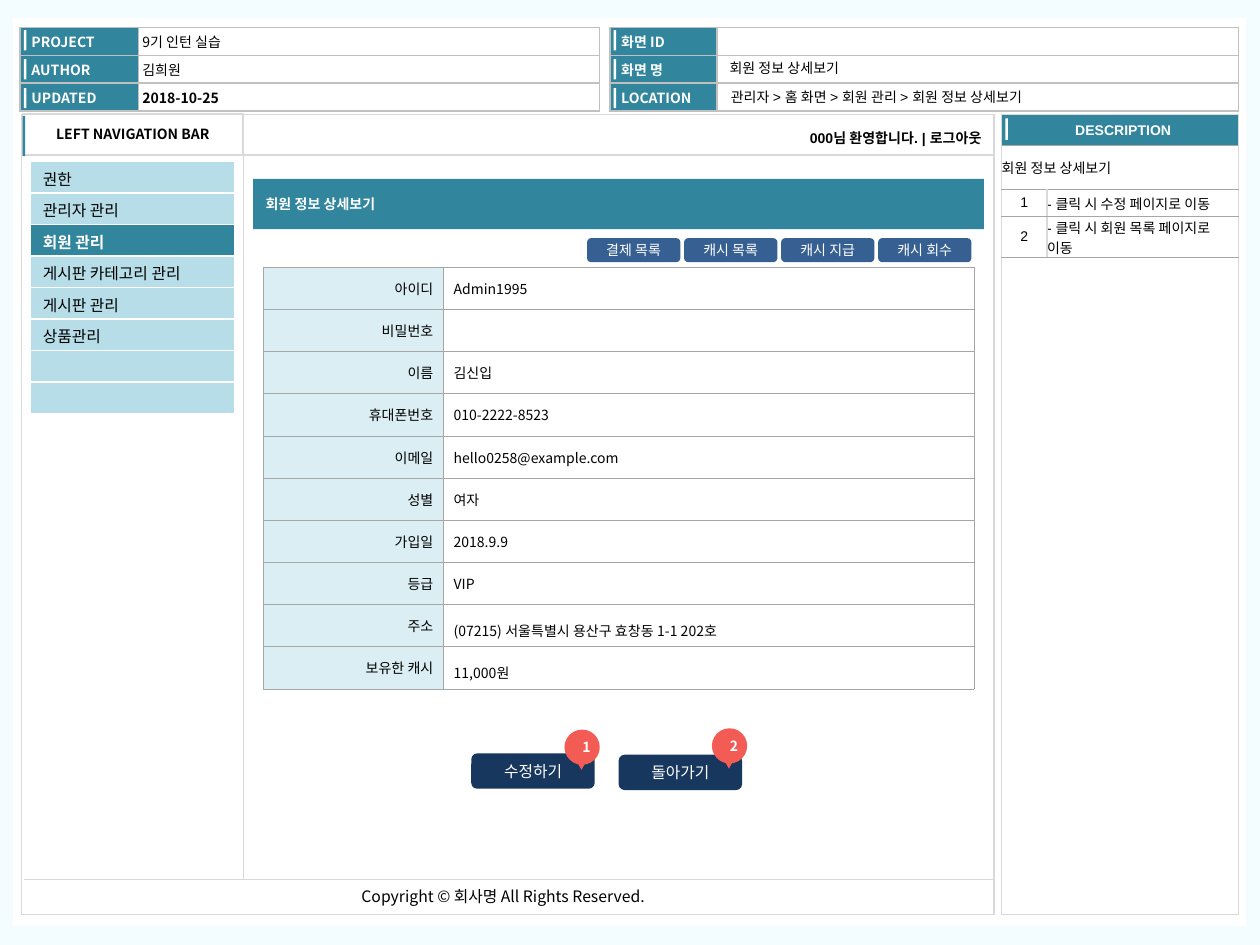
"""Build the member detail screen of an admin site's storyboard."""
from lxml import etree
from pptx import Presentation
from pptx import util as u
from pptx.dml.color import RGBColor
from pptx.enum import shapes, text
from pptx.oxml.ns import qn

KOREAN, LATIN = "Noto Sans CJK KR", "Arial"
WHITE, BLACK = RGBColor(255, 255, 255), RGBColor(0, 0, 0)
PAGE, TEAL = RGBColor(0xF3, 0xFC, 0xFF), RGBColor(0x31, 0x85, 0x9C)
SKY, PALE = RGBColor(0xB7, 0xDE, 0xE8), RGBColor(0xDB, 0xEE, 0xF4)
NAVY, BLUE = RGBColor(0x17, 0x37, 0x5E), RGBColor(0x37, 0x60, 0x92)
CORAL = RGBColor(0xF2, 0x5C, 0x54)
SILVER, LIGHT, GREY = (RGBColor(v, v, v) for v in (0xC0, 0xD9, 0xA6))

LEFT, CENTER, RIGHT = text.PP_ALIGN.LEFT, text.PP_ALIGN.CENTER, text.PP_ALIGN.RIGHT
MIDDLE = text.MSO_ANCHOR.MIDDLE
RECT, ROUND = shapes.MSO_SHAPE.RECTANGLE, shapes.MSO_SHAPE.ROUNDED_RECTANGLE
NONE, TIGHT, NORMAL = (0, 0, 0, 0), (0.03, 0, 0.03, 0), (0.08, 0.04, 0.08, 0.04)

PROJECT = [("PROJECT", "9기 인턴 실습"), ("AUTHOR", "김희원"), ("UPDATED", "2018-10-25")]
SCREEN = [("화면 ID", ""), ("화면 명", ""), ("LOCATION", "")]
SCREEN_VALUES = [("회원 정보 상세보기", 5.71, 0.43), ("관리자 > 홈 화면 > 회원 관리 > 회원 정보 상세보기", 5.72, 0.66)]
MENU = ["권한", "관리자 관리", "회원 관리", "게시판 카테고리 관리", "게시판 관리", "상품관리", "", ""]
CURRENT_MENU = "회원 관리"
MEMBER = [
    ("아이디", "Admin1995"), ("비밀번호", ""), ("이름", "김신입"),
    ("휴대폰번호", "010-2222-8523"), ("이메일", "hello0258@example.com"),
    ("성별", "여자"), ("가입일", "2018.9.9"), ("등급", "VIP"),
    ("주소", "(07215) 서울특별시 용산구 효창동 1-1 202호"), ("보유한 캐시", "11,000원"),
]
SPACED = ("주소", "보유한 캐시")
NOTES = [("회원 정보 상세보기", ""), ("1", "- 클릭 시 수정 페이지로 이동"),
         ("2", "- 클릭 시 회원 목록 페이지로 이동")]
LIST_BUTTONS = ["결제 목록", "캐시 목록", "캐시 지급", "캐시 회수"]
ACTIONS = [("수정하기", "1", 3.74, 5.98, 5.79), ("돌아가기", "2", 4.91, 5.99, 5.78)]
RULES = [(0.19, 6.98, 7.89, 6.98, 1), (1.93, 0.91, 1.93, 6.98, 0.75), (1.93, 1.23, 7.89, 1.23, 1)]


def write(frame, words, size=8, font=KOREAN, color=BLACK, bold=False, align=LEFT, spacing=None):
    paragraph = frame.paragraphs[0]
    paragraph.alignment, paragraph.line_spacing = align, spacing
    if words:
        paragraph.add_run().text = words
    else:
        paragraph._p.get_or_add_endParaRPr().set("sz", str(size * 100))
    paragraph.font.size, paragraph.font.name = u.Pt(size), font
    paragraph.font.bold, paragraph.font.color.rgb = bold, color


def set_insets(target, insets):
    (target.margin_left, target.margin_top,
     target.margin_right, target.margin_bottom) = map(u.Inches, insets)


def add_box(slide, box, fill=None, line=None, words="", kind=RECT, insets=NONE, **style):
    shape = slide.shapes.add_shape(kind, *map(u.Inches, box))
    shape.shadow.inherit = False
    if fill is None:
        shape.fill.background()
    else:
        shape.fill.solid()
        shape.fill.fore_color.rgb = fill
    if line is None:
        shape.line.fill.background()
    else:
        shape.line.color.rgb, shape.line.width = line, u.Pt(0.75)
    if words:
        frame = shape.text_frame
        set_insets(frame, insets)
        frame.vertical_anchor = MIDDLE
        write(frame, words, **style)
    return shape


def add_label(slide, box, words, insets=NORMAL, wrap=True, **style):
    frame = slide.shapes.add_textbox(*map(u.Inches, box)).text_frame
    frame.word_wrap = wrap
    set_insets(frame, insets)
    write(frame, words, **style)


def add_rule(slide, x1, y1, x2, y2, width):
    rule = slide.shapes.add_connector(shapes.MSO_CONNECTOR.STRAIGHT, *map(u.Inches, (x1, y1, x2, y2)))
    rule.line.color.rgb, rule.line.width = LIGHT, u.Pt(width)
    etree.SubElement(rule._element.spPr, qn("a:effectLst"))


def add_grid(slide, corner, columns, rows, sides, ends=None):
    size = sum(columns), sum(rows)
    table = slide.shapes.add_table(len(rows), len(columns), *map(u.Inches, corner + size)).table
    table.first_row = table.horz_banding = False
    for column, width in zip(table.columns, columns):
        column.width = u.Inches(width)
    for row, height in zip(table.rows, rows):
        row.height = u.Inches(height)
    for cell in table.iter_cells():
        for edge, (color, width) in zip("LRTB", [sides] * 2 + [ends or sides] * 2):
            line = etree.SubElement(cell._tc.get_or_add_tcPr(), qn("a:ln" + edge), w=str(u.Pt(width)))
            fill = etree.SubElement(line, qn("a:solidFill"))
            etree.SubElement(fill, qn("a:srgbClr"), val=str(color))
    return table


def fill_cell(cell, words, fill=WHITE, insets=NONE, **style):
    set_insets(cell, insets)
    cell.vertical_anchor = MIDDLE
    if fill is None:
        cell.fill.background()
    else:
        cell.fill.solid()
        cell.fill.fore_color.rgb = fill
    write(cell.text_frame, words, **style)


def add_header(slide, left, columns, entries):
    table = add_grid(slide, (left, 0.22), columns, [0.22] * 3, (SILVER, 1))
    for row, (label, value) in enumerate(entries):
        fill_cell(table.cell(row, 0), label, TEAL, (0.09, 0, 0.03, 0), color=WHITE, bold=True)
        fill_cell(table.cell(row, 1), value, insets=TIGHT, bold=label == "UPDATED")
        add_box(slide, (left + 0.03, 0.24 + 0.23 * row, 0.02, 0.16), WHITE)


def add_description(slide):
    panel = add_grid(slide, (7.95, 0.91), [1.88], [0.25, 6.1], (LIGHT, 1))
    fill_cell(panel.cell(0, 0), "DESCRIPTION", TEAL, (0.05, 0, 0, 0), font=LATIN,
              color=WHITE, bold=True, align=CENTER)
    fill_cell(panel.cell(1, 0), "")
    add_box(slide, (7.98, 0.94, 0.02, 0.17), WHITE)
    notes = add_grid(slide, (7.95, 1.15), [0.36, 1.52], [0.35, 0.22, 0.32], (LIGHT, 1), (GREY, 0.5))
    for row, (number, note) in enumerate(NOTES):
        fill_cell(notes.cell(row, 0), number, font=LATIN, align=CENTER if row else LEFT)
        fill_cell(notes.cell(row, 1), note, font=LATIN)
    notes.cell(0, 0).merge(notes.cell(0, 1))


def add_frame(slide):
    add_box(slide, (0.17, 0.91, 7.72, 6.35), line=LIGHT)
    add_box(slide, (0.18, 0.9, 1.75, 0.33), line=LIGHT, words="LEFT NAVIGATION BAR",
            bold=True, align=CENTER)
    add_box(slide, (0.18, 0.92, 0.02, 0.32), TEAL)
    for rule in RULES:
        add_rule(slide, *rule)
    add_label(slide, (2.77, 6.99, 2.52, 0.25), "Copyright © 회사명 All Rights Reserved.",
              (0.1, 0.05, 0.1, 0.05), False, size=9)
    add_label(slide, (5.29, 0.99, 2.58, 0.22), "000님 환영합니다. | 로그아웃",
              font=LATIN, bold=True, align=RIGHT)
    menu = add_grid(slide, (0.24, 1.28), [1.62], [0.25] * len(MENU), (WHITE, 1))
    for row, item in enumerate(MENU):
        current = item == CURRENT_MENU
        fill_cell(menu.cell(row, 0), item, TEAL if current else SKY, (0.1, 0.04, 0.1, 0.02),
                  size=9, color=WHITE if current else BLACK, bold=current)


def add_member(slide):
    add_box(slide, (2.01, 1.42, 5.8, 0.4), TEAL, words="회원 정보 상세보기",
            insets=(0.1, 0, 0.1, 0), color=WHITE, bold=True)
    for index, name in enumerate(LIST_BUTTONS):
        add_box(slide, (4.66 + 0.77 * index, 1.89, 0.74, 0.19), BLUE, words=name,
                kind=ROUND, color=WHITE, align=CENTER)
    row_height = 3.35 / len(MEMBER)
    table = add_grid(slide, (2.09, 2.12), [1.43, 4.21], [row_height] * len(MEMBER), (GREY, 0.25))
    for row, (label, value) in enumerate(MEMBER):
        fill_cell(table.cell(row, 0), label, PALE, NORMAL, align=RIGHT)
        fill_cell(table.cell(row, 1), value, None, NORMAL, spacing=1.5 if label in SPACED else None)
    for name, number, left, top, badge_top in ACTIONS:
        add_box(slide, (left, top, 0.98, 0.28), NAVY, words=name, kind=ROUND,
                size=9, color=WHITE, align=CENTER)
        add_box(slide, (left + 0.74, badge_top, 0.28, 0.28), CORAL, words=number,
                kind=shapes.MSO_SHAPE.OVAL, insets=(0.07, 0, 0, 0), color=WHITE, bold=True, align=CENTER)
        pointer = add_box(slide, (left + 0.83, badge_top + 0.24, 0.09, 0.08), CORAL,
                          kind=shapes.MSO_SHAPE.ISOSCELES_TRIANGLE)
        pointer.rotation = 180


def main():
    presentation = Presentation()
    presentation.slide_width, presentation.slide_height = u.Inches(10), u.Inches(7.5)
    slide = presentation.slides.add_slide(presentation.slide_layouts[6])
    slide.background.fill.solid()
    slide.background.fill.fore_color.rgb = PAGE
    add_box(slide, (0.1, 0.14, 9.79, 7.21), WHITE)
    add_header(slide, 0.16, [0.94, 3.66], PROJECT)
    add_header(slide, 4.84, [0.85, 4.14], SCREEN)
    for words, left, top in SCREEN_VALUES:
        add_label(slide, (left, top, 3.45, 0.2), words, font=LATIN)
    add_frame(slide)
    add_description(slide)
    add_member(slide)
    presentation.save("out.pptx")


if __name__ == "__main__":
    main()
